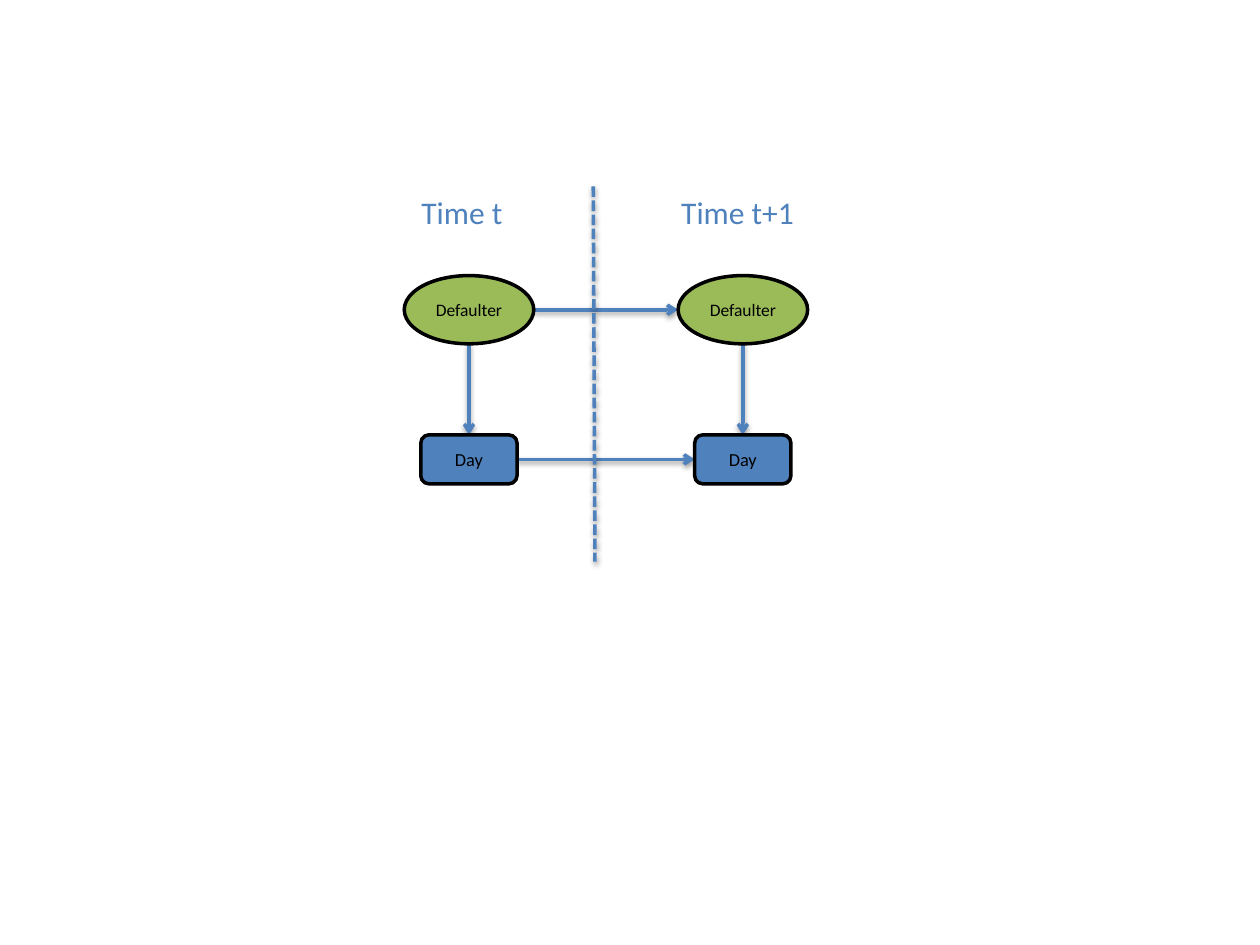
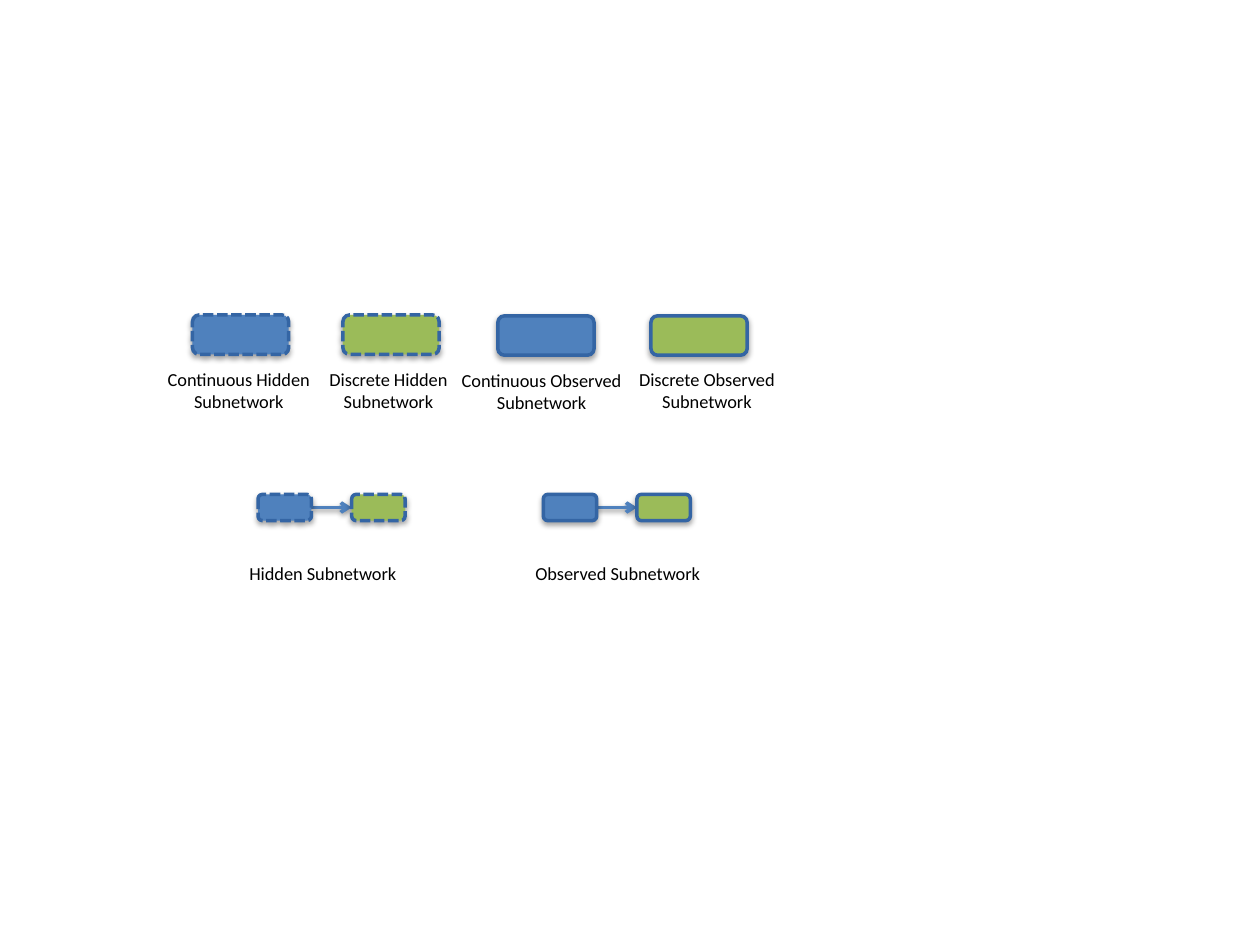
"""Build two slides: a two-step time diagram and the legend of its subnetworks."""
from lxml.etree import SubElement as Sub
from pptx import Presentation
from pptx.dml.color import RGBColor
from pptx.enum.dml import MSO_LINE as Dash
from pptx.enum.shapes import MSO_CONNECTOR as Conn, MSO_SHAPE as Form
from pptx.enum.text import MSO_ANCHOR as Anchor, PP_ALIGN as Align
from pptx.oxml.ns import qn
from pptx.util import Pt

BLUE = RGBColor(0x4F, 0x81, 0xBD)
GREEN = RGBColor(0x9B, 0xBB, 0x59)
EDGE = RGBColor(0x34, 0x65, 0xA4)
BLACK = RGBColor(0, 0, 0)
FONT = "Calibri"

deck = Presentation()
deck.slide_width, deck.slide_height = Pt(720), Pt(540)
blank = deck.slide_layouts[6]
model = deck.slides.add_slide(blank)
legend = deck.slides.add_slide(blank)
shades = []


def add_node(slide, form, place, fill, edge, dash=None, text="", size=10.5):
    """Add a filled, outlined shape with an optional centred caption."""
    node = slide.shapes.add_shape(form, *map(Pt, place))
    node.shadow.inherit = False
    node.fill.solid()
    node.fill.fore_color.rgb = fill
    node.line.color.rgb = edge
    node.line.width = Pt(2)
    if dash:
        node.line.dash_style = dash
    if text:
        frame = node.text_frame
        frame.text = text
        frame.vertical_anchor = Anchor.MIDDLE
        frame.word_wrap = False
        para = frame.paragraphs[0]
        para.alignment = Align.CENTER
        para.font.name, para.font.size = FONT, Pt(size)
        para.font.color.rgb = BLACK
    return node


def add_link(slide, ends, arrow=True):
    """Add a blue line behind the nodes, with an arrowhead by default."""
    link = slide.shapes.add_connector(Conn.STRAIGHT, *map(Pt, ends))
    link.line.color.rgb = BLUE
    link.line.width = Pt(2)
    if arrow:
        Sub(link.line._get_or_add_ln(), qn("a:tailEnd"), type="arrow")
    link._element.getparent().insert(2, link._element)
    shades.append((link, 38, 3.1, 1.6))
    return link


split = add_link(model, (339, 106.5, 340, 321), arrow=False)
split.line.dash_style = Dash.SQUARE_DOT

steps = (268, 424.5)
days = []
for mid in steps:
    add_node(model, Form.OVAL, (mid - 37, 157.5, 74, 39), GREEN, BLACK,
             text="Defaulter", size=10)
    day = add_node(model, Form.ROUNDED_RECTANGLE, (mid - 27.5, 248.5, 55, 28),
                   BLUE, BLACK, text="Day")
    add_link(model, (mid, 196.5, mid, 248.5)).end_connect(day, 0)
    days.append(day)
add_link(model, (steps[0] + 37, 177, steps[1] - 37, 177))
link = add_link(model, (steps[0] + 27.5, 262.5, steps[1] - 27.5, 262.5))
link.begin_connect(days[0], 3)
link.end_connect(days[1], 1)

swatches = [
    (110, 180, BLUE, Dash.SQUARE_DOT),
    (196, 180, GREEN, Dash.SQUARE_DOT),
    (284.5, 180.5, BLUE, None),
    (372, 180.5, GREEN, None),
]
for left, top, fill, dash in swatches:
    box = add_node(legend, Form.ROUNDED_RECTANGLE, (left, top, 55, 22.5),
                   fill, EDGE, dash)
    shades.append((box, 35, 3, 1.8))

for left, dash in ((147.5, Dash.SQUARE_DOT), (310.5, None)):
    pair = [add_node(legend, Form.ROUNDED_RECTANGLE, (x, 282.5, 30.5, 15),
                     fill, EDGE, dash)
            for x, fill in ((left, BLUE), (left + 53.5, GREEN))]
    shades += [(box, 35, 3, 1.8) for box in pair]
    link = add_link(legend, (left + 30.5, 290, left + 53.5, 290))
    link.begin_connect(pair[0], 3)
    link.end_connect(pair[1], 1)

labels = [
    (model, "Time t", 264, 106.5, 61, 29, 18, BLUE),
    (model, "Time t+1", 421.5, 106.5, 80, 29, 18, BLUE),
    (legend, "Continuous Hidden\nSubnetwork", 136.5, 207, 97, 32.5, 10.5, BLACK),
    (legend, "Discrete Hidden\nSubnetwork", 222, 207, 83.5, 32.5, 10.5, BLACK),
    (legend, "Continuous Observed\nSubnetwork", 309.5, 207.5, 107, 32.5, 10.5, BLACK),
    (legend, "Discrete Observed\nSubnetwork", 404, 207, 93.5, 32.5, 10.5, BLACK),
    (legend, "Hidden Subnetwork", 184.5, 317.5, 100, 20, 10.5, BLACK),
    (legend, "Observed Subnetwork", 353, 317.5, 110, 20, 10.5, BLACK),
]
for slide, text, mid, top, wide, high, size, color in labels:
    label = slide.shapes.add_textbox(Pt(mid - wide / 2), Pt(top), Pt(wide), Pt(high))
    frame = label.text_frame
    frame.word_wrap = False
    frame.text = text
    for para in frame.paragraphs:
        para.alignment = Align.CENTER
        para.font.name, para.font.size = FONT, Pt(size)
        para.font.color.rgb = color

for item, alpha, blur, drop in shades:
    props = item._element.spPr
    effects = props.find(qn("a:effectLst"))
    if effects is None:
        effects = Sub(props, qn("a:effectLst"))
    shade = Sub(effects, qn("a:outerShdw"), blurRad=str(Pt(blur)),
                dist=str(Pt(drop)), dir="5400000", rotWithShape="0")
    tint = Sub(shade, qn("a:srgbClr"), val=str(BLACK))
    Sub(tint, qn("a:alpha"), val=str(alpha * 1000))

deck.save("out.pptx")
